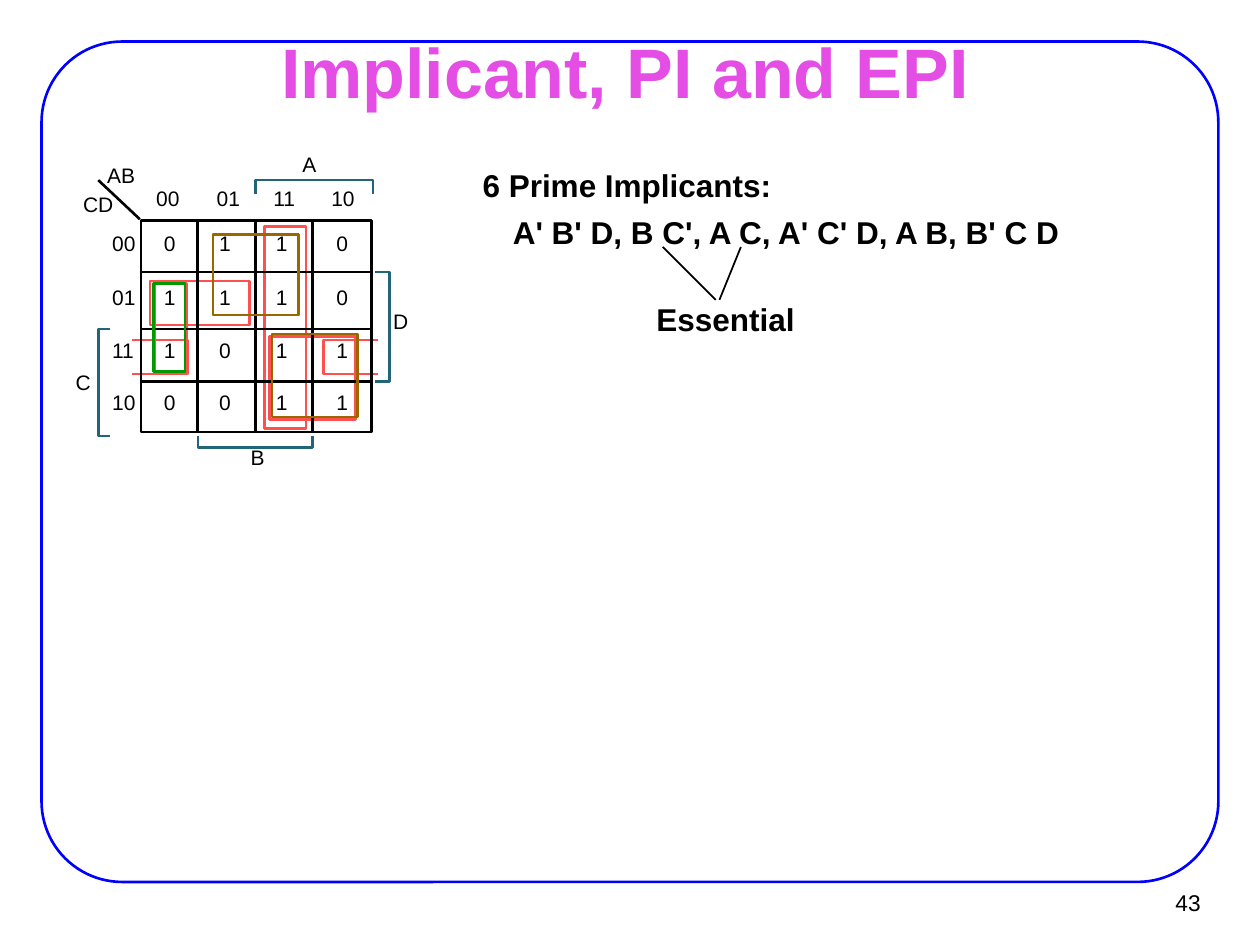
from typing import NamedTuple

import pptx
import pptx.dml.color
import pptx.enum.shapes
import pptx.enum.text
import pptx.oxml.ns
import pptx.util
from lxml import etree
from pptx.util import Inches

Shape = pptx.enum.shapes.MSO_SHAPE
Align = pptx.enum.text.PP_ALIGN
Anchor = pptx.enum.text.MSO_ANCHOR
Fit = pptx.enum.text.MSO_AUTO_SIZE

BLACK, BLUE, PINK = "000000", "0000FF", "E44EE4"
RED, BROWN, GREEN, TEAL = "FF5050", "996600", "009900", "226577"


class Box(NamedTuple):
    x: float
    y: float
    w: float
    h: float


class Loop(NamedTuple):
    box: Box
    tint: str = RED


class Trace(NamedTuple):
    points: list[tuple[float, float]]
    tint: str = TEAL


class Label(NamedTuple):
    text: str
    x: float
    y: float
    w: float = 0.23


prs = pptx.Presentation()
prs.slide_width, prs.slide_height = Inches(10), Inches(7.5)
slide = prs.slides.add_slide(prs.slide_layouts[6])
shapes = slide.shapes


def color(tint: str) -> pptx.dml.color.RGBColor:
    return pptx.dml.color.RGBColor.from_string(tint)


def stroke(line, tint: str, width: float) -> None:
    line.color.rgb = color(tint)
    line.width = pptx.util.Pt(width)


def outline(shape, tint: str) -> None:
    shape.shadow.inherit = False
    shape.fill.background()
    stroke(shape.line, tint, 1.5)


def add_loop(loop: Loop, kind=Shape.RECTANGLE):
    shape = shapes.add_shape(kind, *map(Inches, loop.box))
    outline(shape, loop.tint)
    return shape


def add_trace(trace: Trace) -> None:
    first, *rest = [(Inches(x), Inches(y)) for x, y in trace.points]
    pen = shapes.build_freeform(*first)
    pen.add_line_segments(rest, close=False)
    outline(pen.convert_to_shape(), trace.tint)


def add_line(x1: float, y1: float, x2: float, y2: float, width: float = 1.5) -> None:
    line = shapes.add_connector(
        pptx.enum.shapes.MSO_CONNECTOR.STRAIGHT, *map(Inches, (x1, y1, x2, y2)))
    stroke(line.line, BLACK, width)
    props = line._element.spPr
    etree.SubElement(props, pptx.oxml.ns.qn("a:effectLst"))


def add_text(text: str, box: Box, *, size: float = 12, tint: str = BLACK,
             bold: bool = False, align=Align.LEFT, anchor=Anchor.TOP,
             pad: tuple[float, float] = (0, 0), space: float = 1.0,
             fit=Fit.SHAPE_TO_FIT_TEXT) -> None:
    frame = shapes.add_textbox(*map(Inches, box)).text_frame
    frame.word_wrap = False
    frame.auto_size = fit
    frame.vertical_anchor = anchor
    frame.margin_left = frame.margin_right = Inches(pad[0])
    frame.margin_top = frame.margin_bottom = Inches(pad[1])
    para = frame.paragraphs[0]
    para.alignment = align
    para.line_spacing = space
    run = para.add_run()
    run.text = text
    run.font.name = "Arial"
    run.font.size = pptx.util.Pt(size)
    run.font.bold = bold
    run.font.color.rgb = color(tint)


def add_label(label: Label) -> None:
    add_text(label.text, Box(label.x, label.y, label.w, 0.2))


# Frame, page number and title
frame = add_loop(Loop(Box(0.33, 0.33, 9.34, 6.67), BLUE), Shape.ROUNDED_RECTANGLE)
frame.adjustments[0] = 0.096
add_text("43", Box(9.01, 6.98, 0.61, 0.37), size=13, align=Align.RIGHT,
         anchor=Anchor.MIDDLE, pad=(0.09, 0.04), fit=Fit.NONE)
add_text("Implicant, PI and EPI", Box(2.16, 0.2, 5.6, 0.72), size=40, tint=PINK,
         bold=True, align=Align.CENTER, pad=(0.07, 0.03))

# List of prime implicants, with the essential ones marked
for text, box in [
    ("6 Prime Implicants:", Box(3.76, 1.33, 2.47, 0.31)),
    ("A' B' D, B C', A C, A' C' D, A B, B' C D", Box(4, 1.71, 4.52, 0.31)),
    ("Essential", Box(5.14, 2.4, 1.24, 0.51)),
]:
    add_text(text, box, size=18, bold=True, pad=(0.07, 0.03), space=0.85)
add_line(5.71, 2.38, 5.88, 1.96, width=1)
add_line(5.68, 2.38, 5.26, 1.96, width=1)

# Loops of all prime implicants
for loop in [
    Loop(Box(1.69, 1.86, 0.68, 0.64)),
    Loop(Box(2.1, 1.8, 0.33, 1.6)),
    Loop(Box(1.23, 2.25, 0.25, 0.7)),
    Loop(Box(1.19, 2.23, 0.79, 0.35)),
    Loop(Box(2.14, 2.67, 0.68, 0.66)),
]:
    add_loop(loop)
for edge, inner in [(1.05, 1.49), (3, 2.57)]:
    add_trace(Trace([(edge, 2.97), (inner, 2.97), (inner, 2.7), (edge, 2.7)], RED))

# Map grid
add_loop(Loop(Box(1.12, 1.75, 1.83, 1.68), BLACK))
for y in (2.16, 2.61, 3.03):
    add_line(1.11, y, 2.94, y)
for x in (1.57, 2.03, 2.48):
    add_line(x, 1.74, x, 3.42)
add_line(1.11, 1.74, 0.78, 1.43)

# Codes and cell values
codes = ["00", "01", "11", "10"]
for code, x in zip(codes, (1.24, 1.72, 2.17, 2.63)):
    add_label(Label(code, x, 1.47))
rows = ["0110", "1110", "1011", "0011"]
for code, row, y in zip(codes, rows, (1.83, 2.26, 2.68, 3.09)):
    add_label(Label(code, 0.89, y))
    for bit, x in zip(row, (1.3, 1.74, 2.19, 2.67)):
        add_label(Label(bit, x, y, 0.14))

# Variable brackets and names
for trace in [
    Trace([(2.03, 1.54), (2.03, 1.43), (2.96, 1.43), (2.96, 1.54)]),
    Trace([(0.87, 3.46), (0.78, 3.46), (0.78, 2.61), (0.87, 2.61)]),
    Trace([(2.48, 3.46), (2.48, 3.55), (1.57, 3.55), (1.57, 3.46)]),
    Trace([(2.98, 2.16), (3.09, 2.16), (3.09, 3.03), (2.98, 3.03)]),
]:
    add_trace(trace)
for label in [
    Label("AB", 0.85, 1.29, 0.27),
    Label("CD", 0.66, 1.52, 0.29),
    Label("A", 2.4, 1.2, 0.16),
    Label("B", 1.99, 3.53, 0.16),
    Label("C", 0.6, 2.93, 0.17),
    Label("D", 3.12, 2.45, 0.17),
]:
    add_label(label)

# Highlighted loops
for loop in [
    Loop(Box(1.69, 1.86, 0.68, 0.64), BROWN),
    Loop(Box(2.16, 2.65, 0.68, 0.66), BROWN),
    Loop(Box(1.22, 2.25, 0.25, 0.7), GREEN),
]:
    add_loop(loop)

prs.save("out.pptx")
